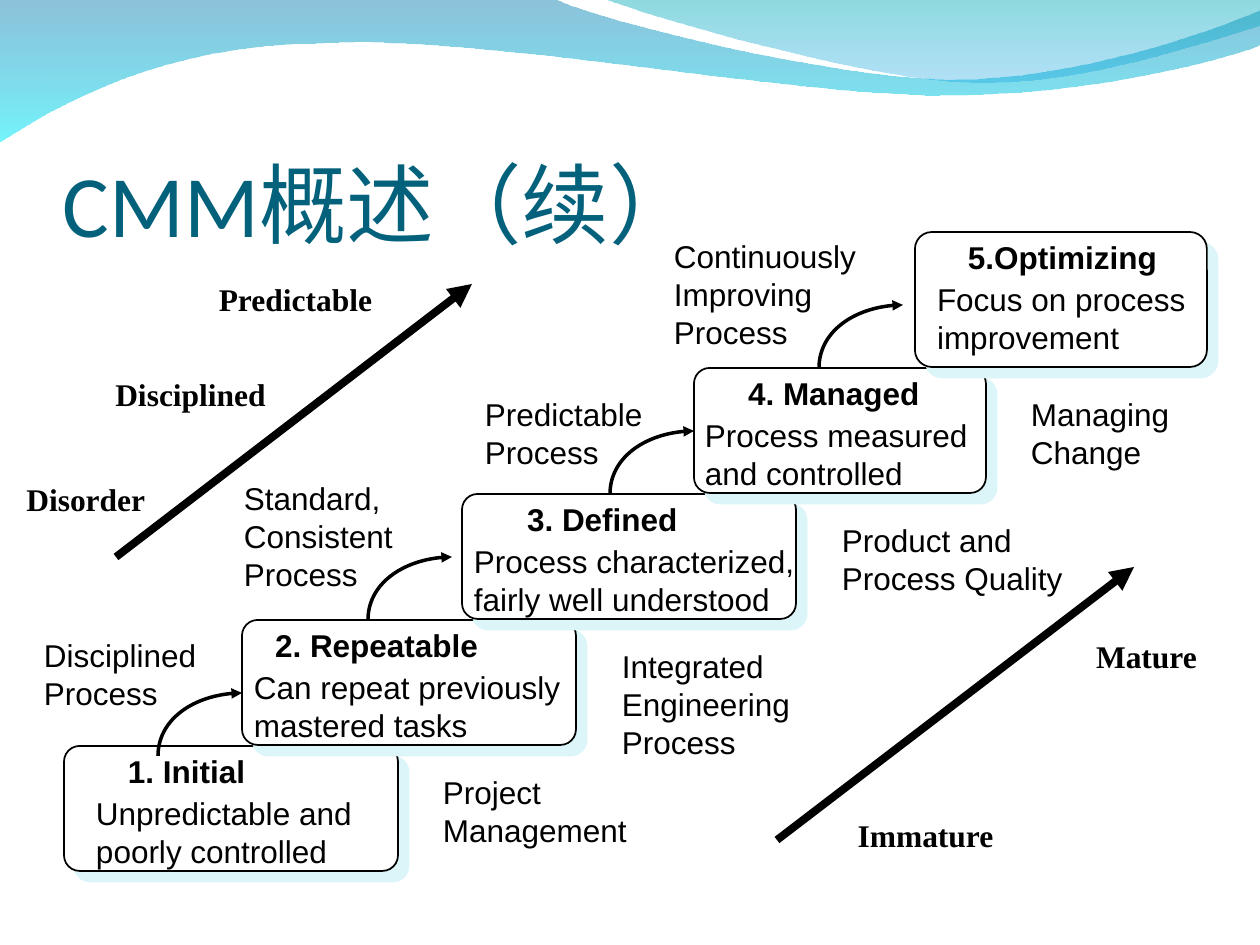
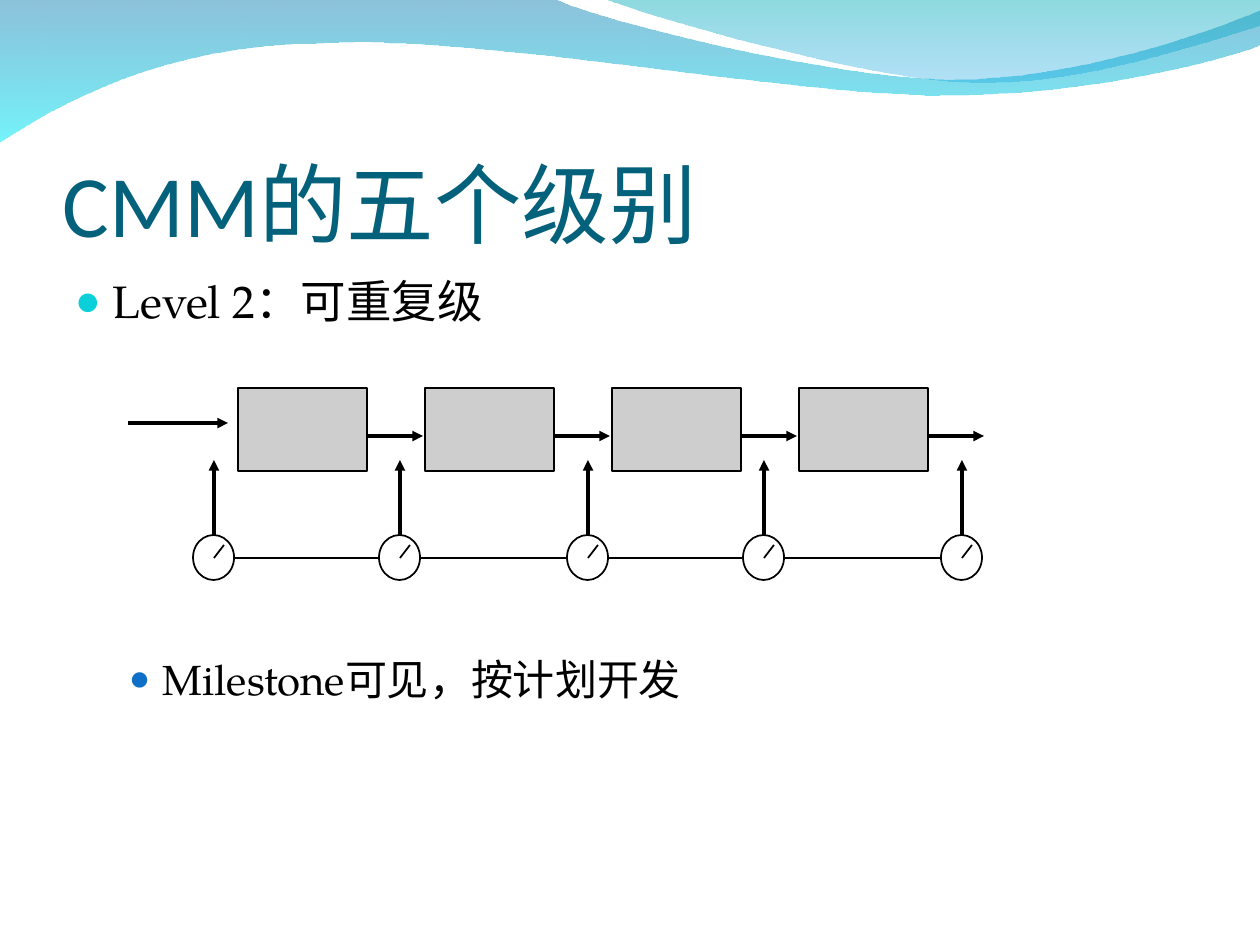
"""Builds two slides on the CMM maturity levels."""
from lxml import etree
from pptx import Presentation
from pptx.dml.color import RGBColor
from pptx.enum.shapes import MSO_CONNECTOR, MSO_SHAPE
from pptx.enum.text import MSO_ANCHOR, PP_ALIGN
from pptx.oxml.ns import qn
from pptx.util import Emu, Pt

SCALE = 914400 / 126
STRAIGHT = MSO_CONNECTOR.STRAIGHT
RECTANGLE, ROUNDED, OVAL = MSO_SHAPE.RECTANGLE, MSO_SHAPE.ROUNDED_RECTANGLE, MSO_SHAPE.OVAL
TOP, MIDDLE, BOTTOM = MSO_ANCHOR.TOP, MSO_ANCHOR.MIDDLE, MSO_ANCHOR.BOTTOM
LEFT, CENTER = PP_ALIGN.LEFT, PP_ALIGN.CENTER

COLORS = {
    "black": "000000", "white": "FFFFFF", "title": "04617B", "shadow": "DBF5F9",
    "stage": "CECECE", "bullet": "0BD0D9", "sub_bullet": "0F6FC6",
    "wave_top": "0079AF", "wave_bottom": "00EBF8",
    "crest_top": "00ADB6", "crest_bottom": "009BE5",
}
SANS, SERIF, HEADING, BODY = "Arial", "Times New Roman", "Calibri", "TeX Gyre Pagella"

WAVE = [
    [(0, -1)], [(554, -1)],
    [(600, 21), (837, 79), (955, 79)], [(1075, 79), (1207, 33), (1260, 11)],
    [(1261, 45)],
    [(1239, 55), (1096, 96), (940, 95)], [(784, 95), (481, 35), (324, 43)],
    [(161, 44), (58, 105), (-1, 142)],
]
CREST = [
    [(604, -1)],
    [(641, 14), (859, 78), (969, 82)], [(1079, 87), (1211, 40), (1260, 26)],
    [(1260, 0)],
]

STEP_RISE = 126
# Box left, width, height; title left, width; description left, width.
STEPS = [
    ("1. Initial", "Unpredictable and poorly controlled", (64, 334, 125), (116, 168), (84, 294)),
    ("2. Repeatable", "Can repeat previously mastered tasks", (242, 334, 125), (263, 284), (242, 388)),
    ("3. Defined", "Process characterized, fairly well understood", (462, 334, 125), (515, 284), (462, 388)),
    ("4. Managed", "Process measured and controlled", (694, 292, 125), (736, 284), (693, 325)),
    ("5.Optimizing", "Focus on process improvement", (915, 292, 135), (956, 241), (925, 284)),
]
STEP_LABELS = [
    ("Disciplined Process", 32, 630, 252, 88),
    ("Standard, Consistent Process", 232, 473, 252, 126),
    ("Predictable Process", 473, 389, 252, 88),
    ("Continuously Improving Process", 662, 231, 252, 126),
    ("Project Management", 431, 767, 252, 88),
    ("Integrated Engineering Process", 610, 641, 252, 126),
    ("Product and Process Quality", 830, 515, 252, 88),
    ("Managing Change", 1019, 389, 199, 88),
]
CLIMB_STARTS = [(158, 756), (368, 620), (610, 494), (819, 368)]
MATURITY_LABELS = [
    ("Disorder ", 0, 462), ("Disciplined ", 105, 357), ("Predictable ", 210, 262),
    ("Immature ", 840, 798), ("Mature ", 1061, 619),
]
GAUGE_CENTERS = [214, 400, 588, 764, 962]


def px(*lengths):
    """Turns pixels into EMU."""
    return [Emu(round(length * SCALE)) for length in lengths]


def rgb(name):
    """Looks up a colour by name."""
    return RGBColor.from_string(COLORS[name])


def add_child(parent, tag, **attributes):
    """Appends a drawing element with the given attributes."""
    child = etree.SubElement(parent, qn(tag))
    for name, value in attributes.items():
        child.set(name, str(value))
    return child


def style_line(shape, width, arrow=False):
    """Gives a shape a black line, with an arrowhead if asked."""
    shape.line.color.rgb = rgb("black")
    shape.line.width = Pt(width)
    if arrow:
        add_child(shape.line._get_or_add_ln(), "a:tailEnd", type="triangle")


def add_line(shapes, start, end, width=1, arrow=False):
    """Draws a straight line between two points."""
    connector = shapes.add_connector(STRAIGHT, *px(*start, *end))
    style_line(connector, width, arrow)
    add_child(connector.element.spPr, "a:effectLst")


def add_box(shapes, kind, box, fill):
    """Draws a filled preset shape with a thin black line."""
    shape = shapes.add_shape(kind, *px(*box))
    shape.shadow.inherit = False
    shape.fill.solid()
    shape.fill.fore_color.rgb = rgb(fill)
    style_line(shape, 1)
    return shape


def add_outline(shapes, segments, close):
    """Draws a freeform whose three-point segments are cubic curves."""
    corners = [px(*point) for segment in segments for point in segment]
    builder = shapes.build_freeform(*corners[0])
    builder.add_line_segments(corners[1:], close=close)
    shape = builder.convert_to_shape()
    shape.shadow.inherit = False
    sides = iter(list(shape.element.spPr.iter(qn("a:lnTo"))))
    for segment in segments[1:]:
        first, *others = [next(sides) for _ in segment]
        if others:
            curve = etree.Element(qn("a:cubicBezTo"))
            first.addprevious(curve)
            for side in (first, *others):
                curve.append(side[0])
                side.getparent().remove(side)
    return shape


def add_wave(shapes, segments, stops):
    """Draws a band with a transparent gradient from top to bottom."""
    shape = add_outline(shapes, segments, True)
    shape.line.fill.background()
    shape.fill.gradient()
    shape.fill.gradient_angle = 270
    for stop, (color, _) in zip(shape.fill.gradient_stops, stops):
        stop.color.rgb = rgb(color)
    for element, (_, opacity) in zip(shape.element.spPr.iter(qn("a:srgbClr")), stops):
        add_child(element, "a:alpha", val=opacity * 1000)


def add_climb(shapes, left, bottom):
    """Draws a quarter-round arrow up to the next step."""
    right, top = left + 84, bottom - 63
    curve = [(left, bottom - 35), (left + 38, top), (right, top)]
    shape = add_outline(shapes, [[(left, bottom)], curve], False)
    shape.fill.background()
    style_line(shape, 2, arrow=True)


def write_run(paragraph, text, font, size, color="black", bold=False):
    """Adds formatted text to a paragraph."""
    run = paragraph.add_run()
    run.text = text
    run.font.name, run.font.size, run.font.bold = font, Pt(size), bold
    run.font.color.rgb = rgb(color)


def add_text(shapes, text, box, font=SANS, size=18, color="black", bold=False,
             align=LEFT, anchor=TOP, wrap=True, insets=(12, 6, 12, 6)):
    """Adds a text box with one paragraph."""
    frame = shapes.add_textbox(*px(*box)).text_frame
    frame.word_wrap, frame.vertical_anchor = wrap, anchor
    frame.margin_left, frame.margin_top, frame.margin_right, frame.margin_bottom = px(*insets)
    paragraph = frame.paragraphs[0]
    paragraph.alignment = align
    write_run(paragraph, text, font, size, color, bold)
    return frame


def set_bullet(paragraph, margin, hanging, color, percent):
    """Gives a paragraph a coloured round bullet."""
    properties = paragraph._p.get_or_add_pPr()
    indent, hang = px(margin, hanging)
    properties.set("marL", str(indent))
    properties.set("indent", str(-hang))
    add_child(add_child(properties, "a:buClr"), "a:srgbClr", val=COLORS[color])
    add_child(properties, "a:buSzPct", val=percent * 1000)
    add_child(properties, "a:buFont", typeface=SANS)
    add_child(properties, "a:buChar", char="●")


def add_slide(presentation, title):
    """Adds a slide with the waves and the title."""
    slide = presentation.slides.add_slide(presentation.slide_layouts[6])
    add_wave(slide.shapes, WAVE, [("wave_top", 45), ("wave_bottom", 55)])
    add_wave(slide.shapes, CREST, [("crest_top", 45), ("crest_bottom", 30)])
    add_text(slide.shapes, title, (63, 97, 1134, 158), font=HEADING, size=50,
             color="title", anchor=BOTTOM, insets=(0, 6, 0, 0))
    return slide


def add_step(shapes, bottom, step):
    """Draws one maturity level with its title and description."""
    title, description, (left, width, height), title_span, description_span = step
    top = bottom - height
    box = add_box(shapes, ROUNDED, (left, top, width, height), "white")
    box.adjustments[0] = 0.125
    effects = box.element.spPr.find(qn("a:effectLst"))
    shadow = add_child(effects, "a:outerShdw", dist=Pt(8.5), dir=45 * 60000, algn="ctr", rotWithShape=0)
    add_child(shadow, "a:srgbClr", val=COLORS["shadow"])
    add_text(shapes, title, (title_span[0], top, title_span[1], 50), bold=True)
    add_text(shapes, description, (description_span[0], top + 42, description_span[1], 88))


def build_overview(presentation):
    """Builds the staircase of the five levels."""
    shapes = add_slide(presentation, "CMM概述（续）").shapes
    for index, step in enumerate(STEPS):
        add_step(shapes, 871 - STEP_RISE * index, step)
    for text, *box in STEP_LABELS:
        add_text(shapes, text, box)
    for left, bottom in CLIMB_STARTS:
        add_climb(shapes, left, bottom)
    for start, end in [((116, 557), (472, 284)), ((777, 840), (1134, 567))]:
        add_line(shapes, start, end, 4.5, arrow=True)
    for text, left, top in MATURITY_LABELS:
        add_text(shapes, text, (left, top, 179, 73), font=SERIF, bold=True,
                 align=CENTER, anchor=MIDDLE, wrap=False, insets=(0, 6, 0, 6))


def build_level_two(presentation):
    """Builds the slide on the repeatable level."""
    slide = add_slide(presentation, "CMM的五个级别")
    frame = add_text(slide.shapes, "Level 2：可重复级", (63, 267, 1134, 605), font=BODY, size=26)
    set_bullet(frame.paragraphs[0], 38, 38, "bullet", 95)
    milestone = frame.add_paragraph()
    milestone.space_before = Pt(186)
    write_run(milestone, "Milestone可见，按计划开发", BODY, 24)
    set_bullet(milestone, 88, 34, "sub_bullet", 85)

    diagram = slide.shapes.add_group_shape().shapes
    add_line(diagram, (128, 423), (228, 423), 2, arrow=True)
    for index in range(4):
        left = 238 + 187 * index
        add_box(diagram, RECTANGLE, (left, 388, 129, 83), "stage")
        add_line(diagram, (left + 130, 436), (left + 185, 436), 2, arrow=True)
    axis = 558
    add_line(diagram, (GAUGE_CENTERS[0], axis), (GAUGE_CENTERS[-1], axis))
    for center in GAUGE_CENTERS:
        add_line(diagram, (center, axis), (center, 460), 2, arrow=True)
        add_box(diagram, OVAL, (center - 21, 535, 41, 45), "white")
        add_line(diagram, (center, axis), (center + 10, axis - 13))


def main():
    """Builds and saves the presentation."""
    presentation = Presentation()
    presentation.slide_width, presentation.slide_height = px(1260, 945)
    build_overview(presentation)
    build_level_two(presentation)
    presentation.save("out.pptx")


main()
